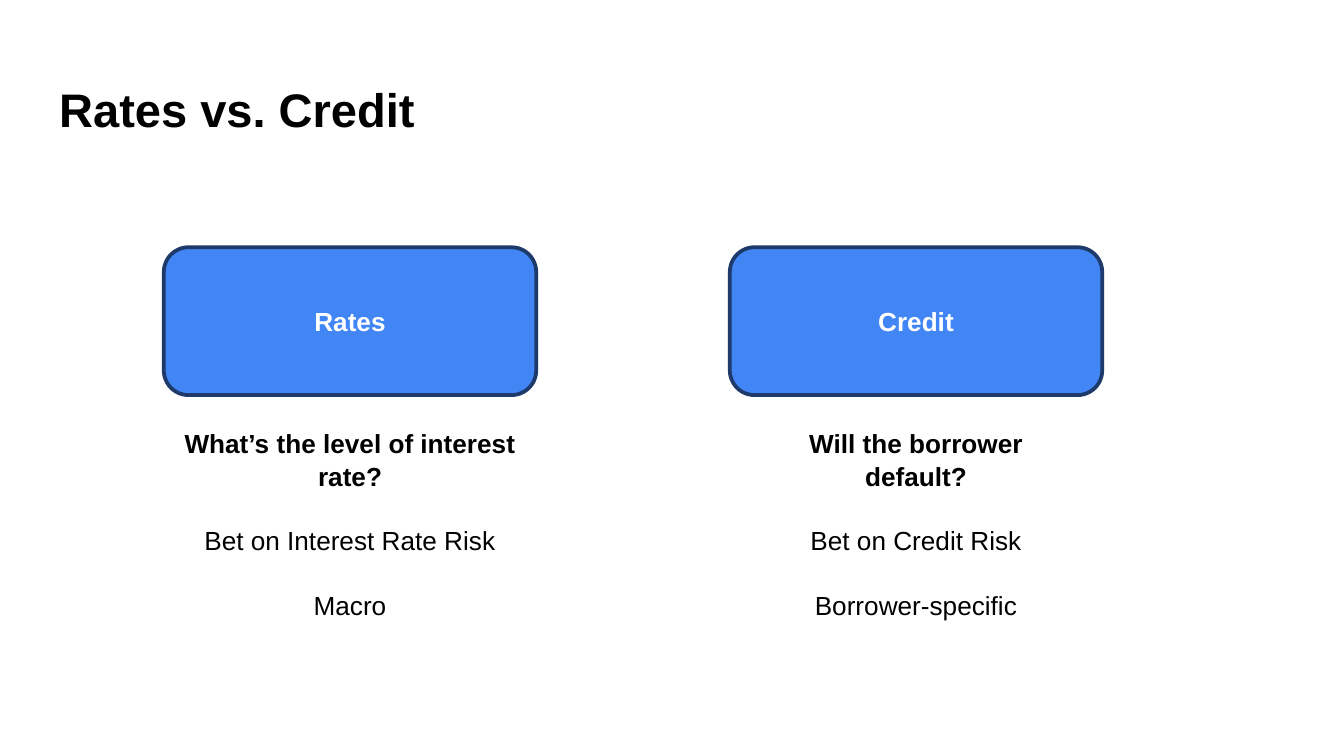
from pptx import Presentation
from pptx.dml.color import RGBColor
from pptx.enum.shapes import MSO_SHAPE
from pptx.enum.text import MSO_ANCHOR, MSO_AUTO_SIZE, PP_ALIGN
from pptx.util import Pt

ROUNDED = MSO_SHAPE.ROUNDED_RECTANGLE
MIDDLE, BOTTOM = MSO_ANCHOR.MIDDLE, MSO_ANCHOR.BOTTOM
LEFT, CENTER = PP_ALIGN.LEFT, PP_ALIGN.CENTER
FIT_SHAPE = MSO_AUTO_SIZE.SHAPE_TO_FIT_TEXT

COLORS = {"text": "000000", "box": "4285F4", "border": "1D3A6B", "label": "FFFFFF"}
FONT = "Arial"
BODY = 14
LINE = 1.05
GAP = 16.9
WIDTH = 199.5

columns = [
    (87.8, "Rates", ["What’s the level of interest rate?"],
     ["Bet on Interest Rate Risk", "Macro"]),
    (391, "Credit", ["Will the borrower", "default?"],
     ["Bet on Credit Risk", "Borrower-specific"]),
]


def add_text(p, text, size, color, bold, align=CENTER):
    p.alignment = align
    r = p.add_run()
    r.text = text
    r.font.name = FONT
    r.font.size = Pt(size)
    r.font.bold = bold
    r.font.color.rgb = RGBColor.from_string(COLORS[color])


prs = Presentation()
prs.slide_width = Pt(720)
prs.slide_height = Pt(405)
s = prs.slides.add_slide(prs.slide_layouts[5])

title = s.shapes.title
title.left, title.top, title.width, title.height = Pt(24.5), Pt(35), Pt(671), Pt(45.4)
tf = title.text_frame
tf.auto_size = MSO_AUTO_SIZE.NONE
tf.margin_left = tf.margin_right = tf.margin_top = tf.margin_bottom = Pt(7.2)
tf.vertical_anchor = BOTTOM
add_text(tf.paragraphs[0], "Rates vs. Credit", 25.2, "text", True, LEFT)

for left, label, question, points in columns:
    sp = s.shapes.add_shape(ROUNDED, Pt(left), Pt(132.5), Pt(WIDTH), Pt(79.2))
    sp.shadow.inherit = False
    sp.fill.solid()
    sp.fill.fore_color.rgb = RGBColor.from_string(COLORS["box"])
    sp.line.color.rgb = RGBColor.from_string(COLORS["border"])
    sp.line.width = Pt(2)
    tf = sp.text_frame
    tf.vertical_anchor = MIDDLE
    add_text(tf.paragraphs[0], label, BODY, "label", True)

    sp = s.shapes.add_textbox(Pt(left), Pt(224.6), Pt(WIDTH), Pt(108.7))
    tf = sp.text_frame
    tf.word_wrap = True
    tf.auto_size = FIT_SHAPE
    for i, text in enumerate(question + points):
        p = tf.paragraphs[0] if i == 0 else tf.add_paragraph()
        is_point = i >= len(question)
        p.line_spacing = LINE
        p.space_before = Pt(GAP if is_point else 0)
        add_text(p, text, BODY, "text", not is_point)

prs.save("out.pptx")
